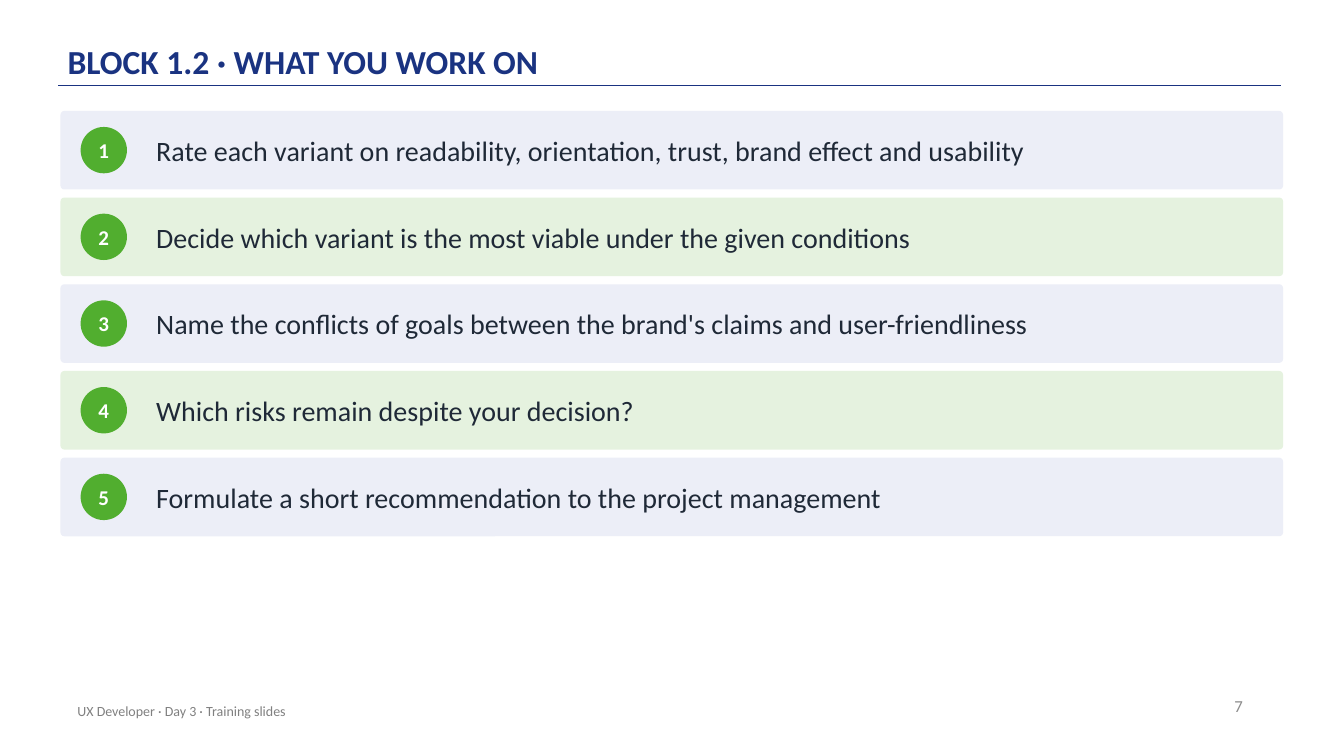
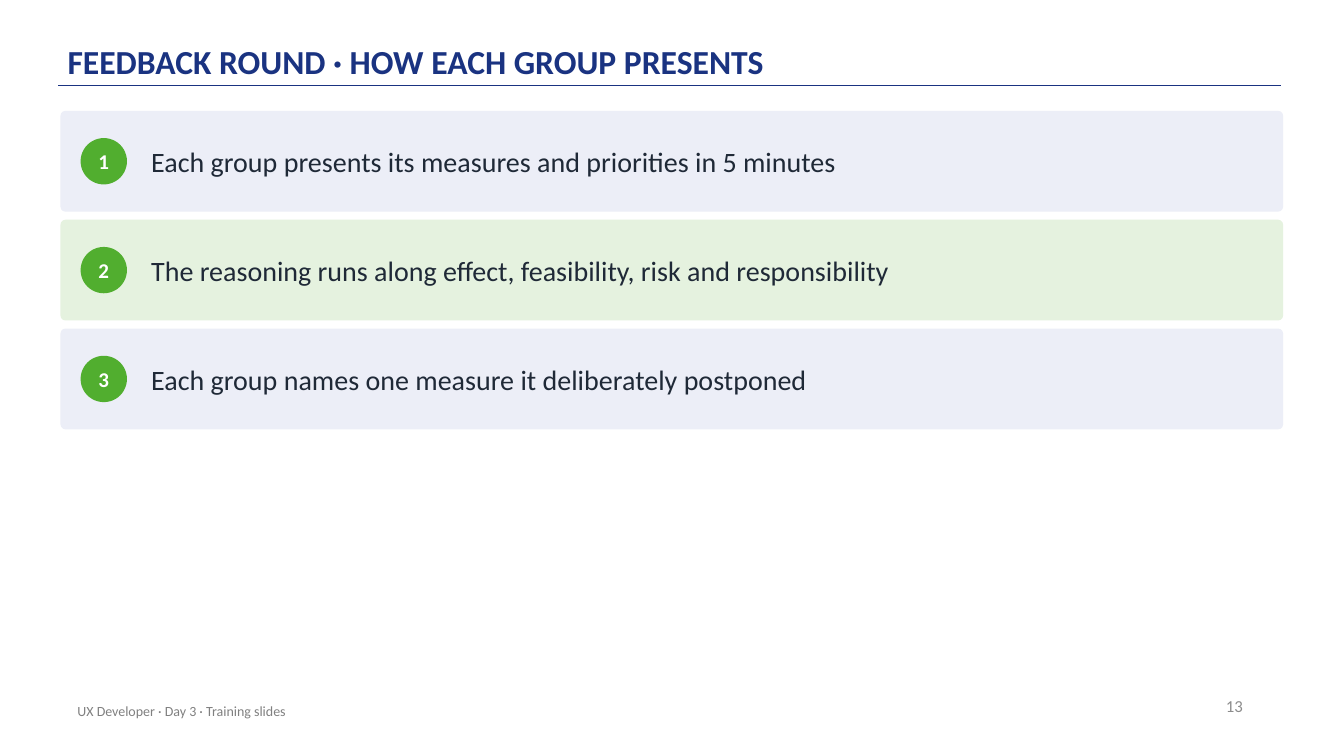
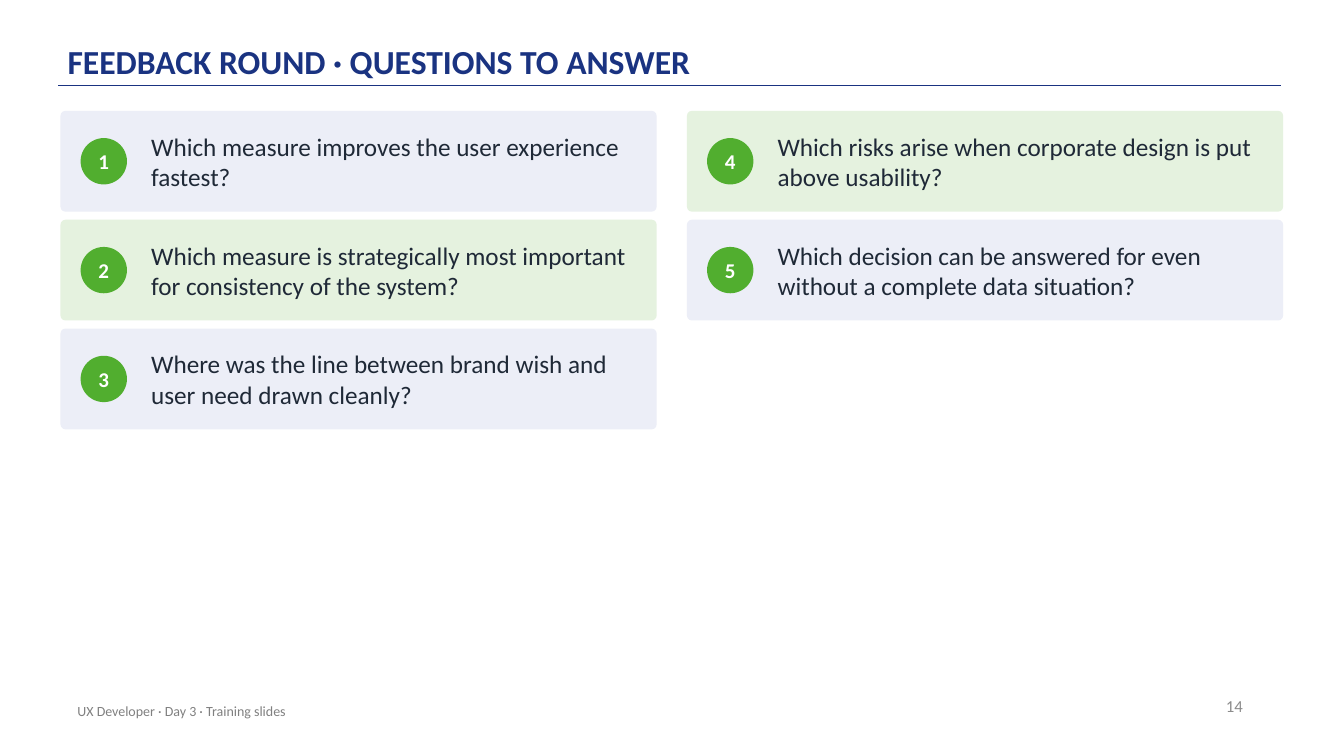
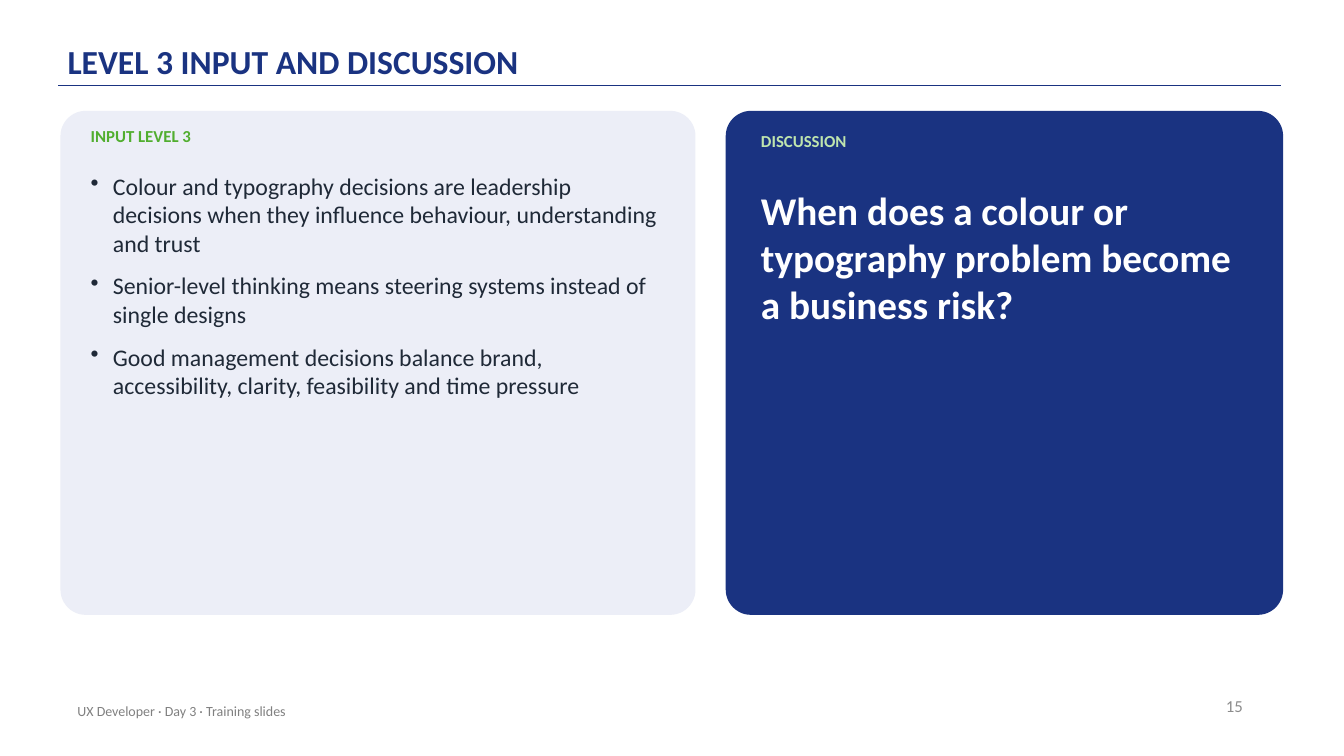
from lxml.etree import SubElement as Sub
from pptx import Presentation
from pptx.dml.color import RGBColor as Rgb
from pptx.enum.shapes import MSO_CONNECTOR as Link, MSO_SHAPE as Kind
from pptx.enum.text import MSO_ANCHOR as Anchor, MSO_AUTO_SIZE as Fit, PP_ALIGN as Align
from pptx.oxml.ns import qn
from pptx.util import Pt

FONT = "Calibri"
HUES = {
    "navy": "1A3381", "green": "51AE2F", "mint": "BFE5AE", "ink": "1F2937",
    "white": "FFFFFF", "lilac": "ECEEF7", "sage": "E5F2DF",
    "grey": "808080", "pale": "8C8C8C",
}
LEFT, TOP, WIDE = 43.2, 79.2, 873.36
GAP, GUTTER = 5.76, 21.6
DOT, DOT_IN = 33.12, 14.4


def hue(name):
    """Return the named colour."""
    return Rgb.from_string(HUES[name])


def write(shape, *lines, size=20, color="ink", bold=False, align=Align.LEFT,
          anchor=Anchor.TOP, inset=(0, 0), after=0, lead=None, hang=0):
    """Fill a shape with one formatted paragraph per line."""
    frame = shape.text_frame
    frame.word_wrap, frame.auto_size = True, Fit.NONE
    frame.vertical_anchor = anchor
    frame.margin_left = frame.margin_right = Pt(inset[0])
    frame.margin_top = frame.margin_bottom = Pt(inset[1])
    for pos, line in enumerate(lines):
        para = frame.add_paragraph() if pos else frame.paragraphs[0]
        para.alignment, para.space_after = align, Pt(after)
        if lead:
            para.line_spacing = lead
        if hang:
            props = para._p.get_or_add_pPr()
            props.set("marL", str(Pt(hang)))
            props.set("indent", str(-Pt(hang)))
            Sub(props, qn("a:buChar"), char="•")
        run = para.add_run()
        run.text = line
        font = run.font
        font.name, font.size, font.bold = FONT, Pt(size), bold
        font.color.rgb = hue(color)


def label(slide, box, *lines, **form):
    """Add a text box."""
    write(slide.shapes.add_textbox(*map(Pt, box)), *lines, **form)


def solid(slide, kind, box, fill):
    """Add a flat filled shape without outline."""
    shape = slide.shapes.add_shape(kind, *map(Pt, box))
    shape.shadow.inherit = False
    shape.fill.solid()
    shape.fill.fore_color.rgb = hue(fill)
    shape.line.fill.background()
    return shape


def panel(slide, box, fill):
    """Add a softly rounded panel."""
    solid(slide, Kind.ROUNDED_RECTANGLE, box, fill).adjustments[0] = 0.05


def start(deck, title, page):
    """Add a slide with its title, rule, page number and footer."""
    slide = deck.slides.add_slide(deck.slide_layouts[5])
    rule = slide.shapes.add_connector(
        Link.STRAIGHT, Pt(41.76), Pt(61.2), Pt(915.12), Pt(61.2))
    rule.line.color.rgb, rule.line.width = hue("navy"), Pt(1)
    Sub(rule._element.spPr, qn("a:effectLst"))
    head = slide.shapes.title
    head.left, head.top, head.width, head.height = map(Pt, (48.24, 8.64, 792, 51.84))
    write(head, title, size=24, color="navy", bold=True,
          anchor=Anchor.BOTTOM, inset=(0, 2.16), lead=0.9)
    foot = dict(anchor=Anchor.MIDDLE, inset=(7.2, 3.6))
    label(slide, (678.96, 489.6, 216, 28.8), str(page),
          size=12, color="pale", align=Align.RIGHT, **foot)
    label(slide, (48.24, 493.2, 482.4, 28.8),
          "UX Developer · Day 3 · Training slides", size=10, color="grey", **foot)
    return slide


def cards(slide, items, high=72, cols=1, rows=5, size=20, text_in=64.8, end=14.4):
    """Lay out numbered cards column by column in alternating tints."""
    wide = (WIDE - GUTTER * (cols - 1)) / cols
    for pos, item in enumerate(items):
        col, row = divmod(pos, rows)
        x, y = LEFT + col * (wide + GUTTER), TOP + row * (high + GAP)
        panel(slide, (x, y, wide, high), ("lilac", "sage")[pos % 2])
        dot = solid(slide, Kind.OVAL,
                    (x + DOT_IN, y + (high - DOT) / 2, DOT, DOT), "green")
        write(dot, str(pos + 1), size=15, color="white", bold=True,
              align=Align.CENTER, anchor=Anchor.MIDDLE)
        label(slide, (x + text_in, y, wide - text_in - end, high), item,
              size=size, anchor=Anchor.MIDDLE)


def debate(slide):
    """Fill the input panel and the discussion panel."""
    high, split = 360, 453.6
    right = LEFT + split + GUTTER
    panel(slide, (LEFT, TOP, split, high), "lilac")
    panel(slide, (right, TOP, WIDE - split - GUTTER, high), "navy")
    tag = dict(size=12, bold=True, after=6)
    label(slide, (64.8, 90, 410.4, 25.2), "INPUT LEVEL 3", color="green", **tag)
    label(slide, (64.8, 122.4, 410.4, 302.4),
          "Colour and typography decisions are leadership decisions when they "
          "influence behaviour, understanding and trust",
          "Senior-level thinking means steering systems instead of single designs",
          "Good management decisions balance brand, accessibility, clarity, "
          "feasibility and time pressure",
          size=17, after=10, hang=15.84)
    label(slide, (543.6, 93.6, 324, 25.2), "DISCUSSION", color="mint", **tag)
    label(slide, (543.6, 133.2, 347.76, 288),
          "When does a colour or typography problem become a business risk?",
          size=28, color="white", bold=True, after=6)


def main():
    """Build and save the deck."""
    deck = Presentation()
    deck.slide_width, deck.slide_height = Pt(960), Pt(540)
    cards(start(deck, "BLOCK 1.2 · WHAT YOU WORK ON", 7), [
        "Rate each variant on readability, orientation, trust, brand effect and usability",
        "Decide which variant is the most viable under the given conditions",
        "Name the conflicts of goals between the brand's claims and user-friendliness",
        "Which risks remain despite your decision?",
        "Formulate a short recommendation to the project management",
    ], high=56.16, text_in=68.4, end=18)
    cards(start(deck, "FEEDBACK ROUND · HOW EACH GROUP PRESENTS", 13), [
        "Each group presents its measures and priorities in 5 minutes",
        "The reasoning runs along effect, feasibility, risk and responsibility",
        "Each group names one measure it deliberately postponed",
    ])
    cards(start(deck, "FEEDBACK ROUND · QUESTIONS TO ANSWER", 14), [
        "Which measure improves the user experience fastest?",
        "Which measure is strategically most important for consistency of the system?",
        "Where was the line between brand wish and user need drawn cleanly?",
        "Which risks arise when corporate design is put above usability?",
        "Which decision can be answered for even without a complete data situation?",
    ], cols=2, rows=3, size=18)
    debate(start(deck, "LEVEL 3 INPUT AND DISCUSSION", 15))
    deck.save("out.pptx")


if __name__ == "__main__":
    main()
